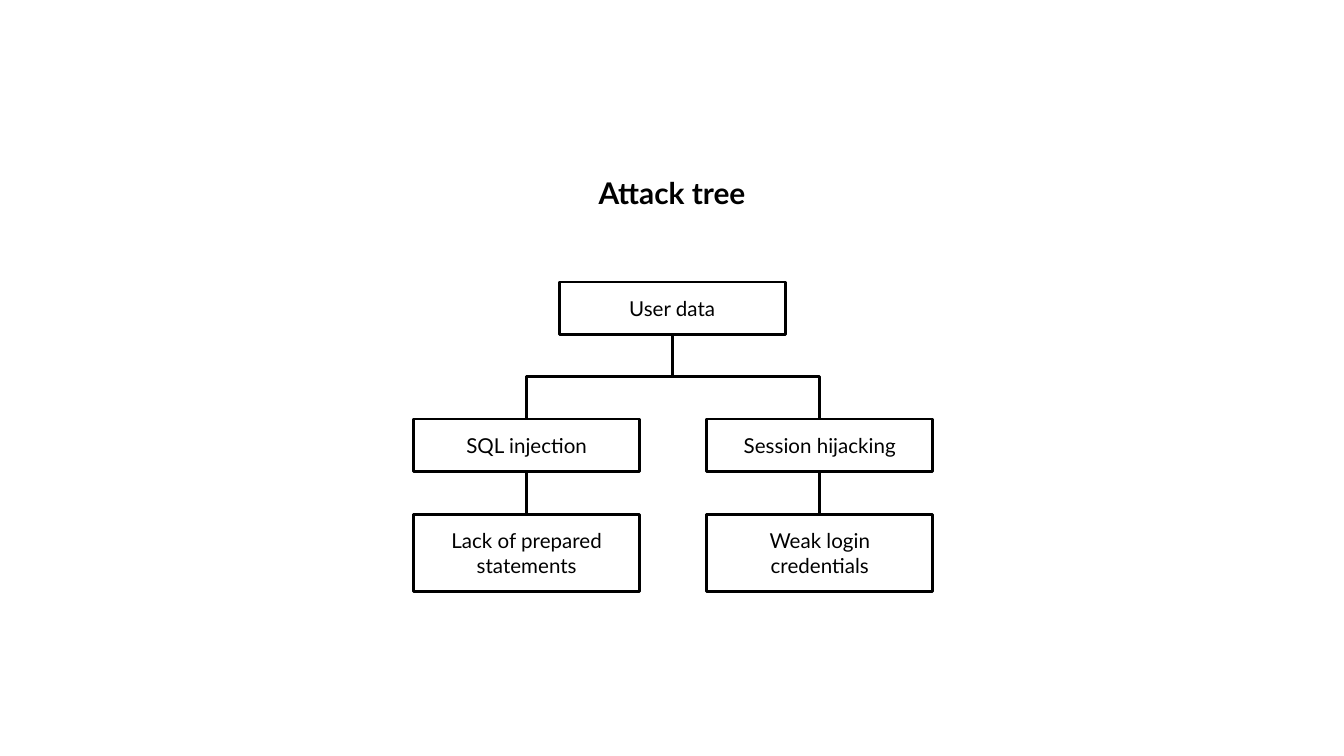
from lxml.etree import SubElement
from pptx import Presentation
from pptx.dml.color import RGBColor
from pptx.enum.shapes import MSO_CONNECTOR as Link, MSO_SHAPE as Shape
from pptx.enum.text import MSO_ANCHOR as Anchor, MSO_AUTO_SIZE as AutoSize, PP_ALIGN as Align
from pptx.oxml.ns import qn
from pptx.util import Cm, Pt

THEME = {
    "ink": RGBColor(0, 0, 0),
    "font": "Lato",
    "title": Pt(16),
    "node": Pt(11),
    "line": Pt(1.5),
}


def set_all(target, values):
    for name, value in values.items():
        setattr(target, name, value)


def write(shape, text, size, bold, anchor):
    frame = shape.text_frame
    frame.text = text
    inset = Cm(0.25)
    set_all(frame, {
        "word_wrap": True, "auto_size": AutoSize.NONE, "vertical_anchor": anchor,
        "margin_left": inset, "margin_right": inset,
        "margin_top": inset, "margin_bottom": inset,
    })
    paragraph = frame.paragraphs[0]
    paragraph.alignment = Align.CENTER
    set_all(paragraph.font, {"name": THEME["font"], "size": size, "bold": bold})
    paragraph.font.color.rgb = THEME["ink"]


deck = Presentation()
set_all(deck, {"slide_width": Cm(25.4), "slide_height": Cm(14.29)})
slide = deck.slides.add_slide(deck.slide_layouts[5])

heading = slide.shapes.title
set_all(heading, {"left": Cm(3.3), "top": Cm(3.05), "width": Cm(18.8), "height": Cm(1.19)})
write(heading, "Attack tree", THEME["title"], True, Anchor.TOP)

node_width = Cm(4.27)
levels = [(Cm(5.33), Cm(0.99)), (Cm(7.92), Cm(0.99)), (Cm(9.73), Cm(1.45))]
tree = [
    ("User data", None, Cm(10.57), 0),
    ("SQL injection", "User data", Cm(7.82), 1),
    ("Lack of prepared statements", "SQL injection", Cm(7.82), 2),
    ("Session hijacking", "User data", Cm(13.36), 1),
    ("Weak login credentials", "Session hijacking", Cm(13.36), 2),
]

nodes = {}
for label, parent_label, left, level in tree:
    top, height = levels[level]
    node = slide.shapes.add_shape(Shape.RECTANGLE, left, top, node_width, height)
    node.shadow.inherit = False
    node.fill.background()
    node.line.color.rgb = THEME["ink"]
    node.line.width = THEME["line"]
    write(node, label, THEME["node"], False, Anchor.MIDDLE)
    nodes[label] = node

    if parent_label is None:
        continue
    parent = nodes[parent_label]
    start_y = parent.top + parent.height
    drop = top - start_y
    shift = left - parent.left
    spread = abs(shift)
    middle_x = (left + parent.left + node_width) // 2
    middle_y = start_y + drop // 2

    branch = slide.shapes.add_connector(Link.ELBOW, 0, 0, 0, 0)
    branch.begin_connect(parent, 2)
    branch.end_connect(node, 0)
    set_all(branch, {
        "left": middle_x - drop // 2, "top": middle_y - spread // 2,
        "width": drop, "height": spread,
    })
    to_right = shift > 0
    set_all(branch.element.spPr.xfrm, {
        "rot": 270 if to_right else 90, "flipH": to_right, "flipV": False,
    })
    branch.line.color.rgb = THEME["ink"]
    branch.line.width = THEME["line"]
    SubElement(branch.element.spPr, qn("a:effectLst"))

deck.save("out.pptx")
